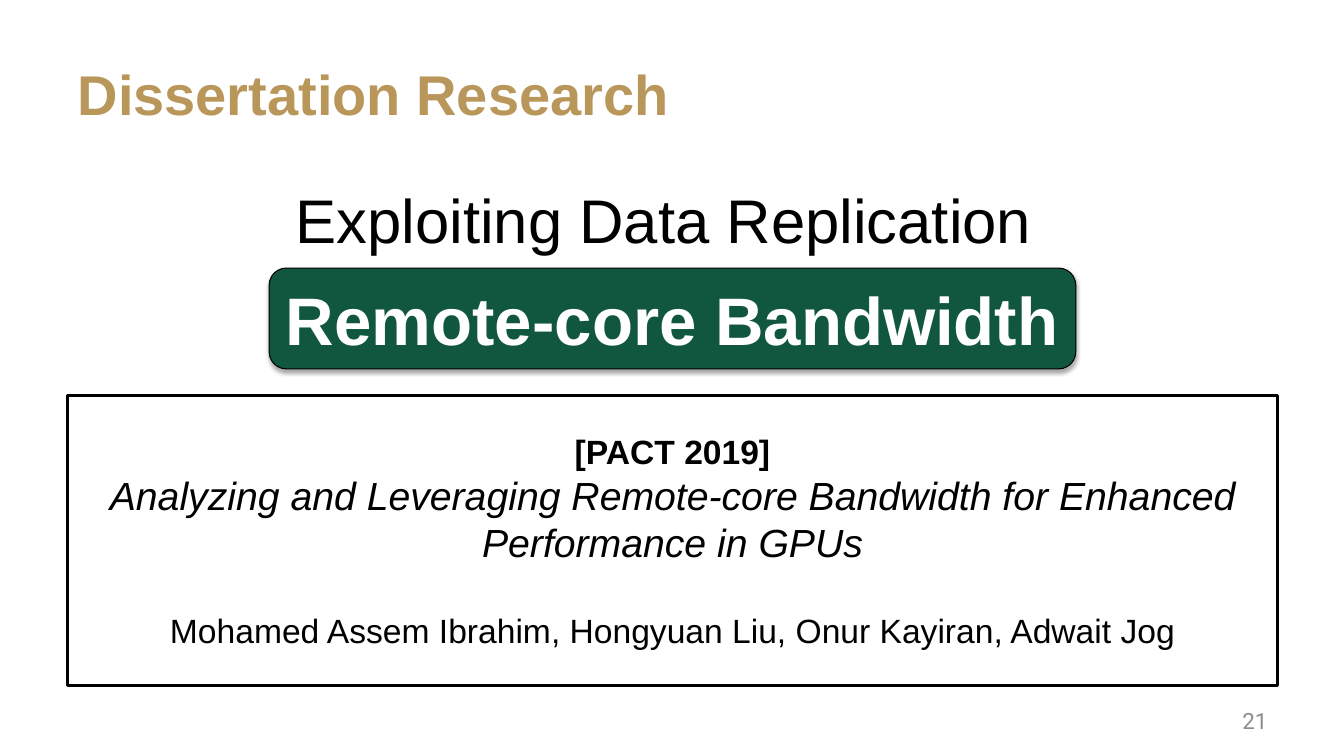
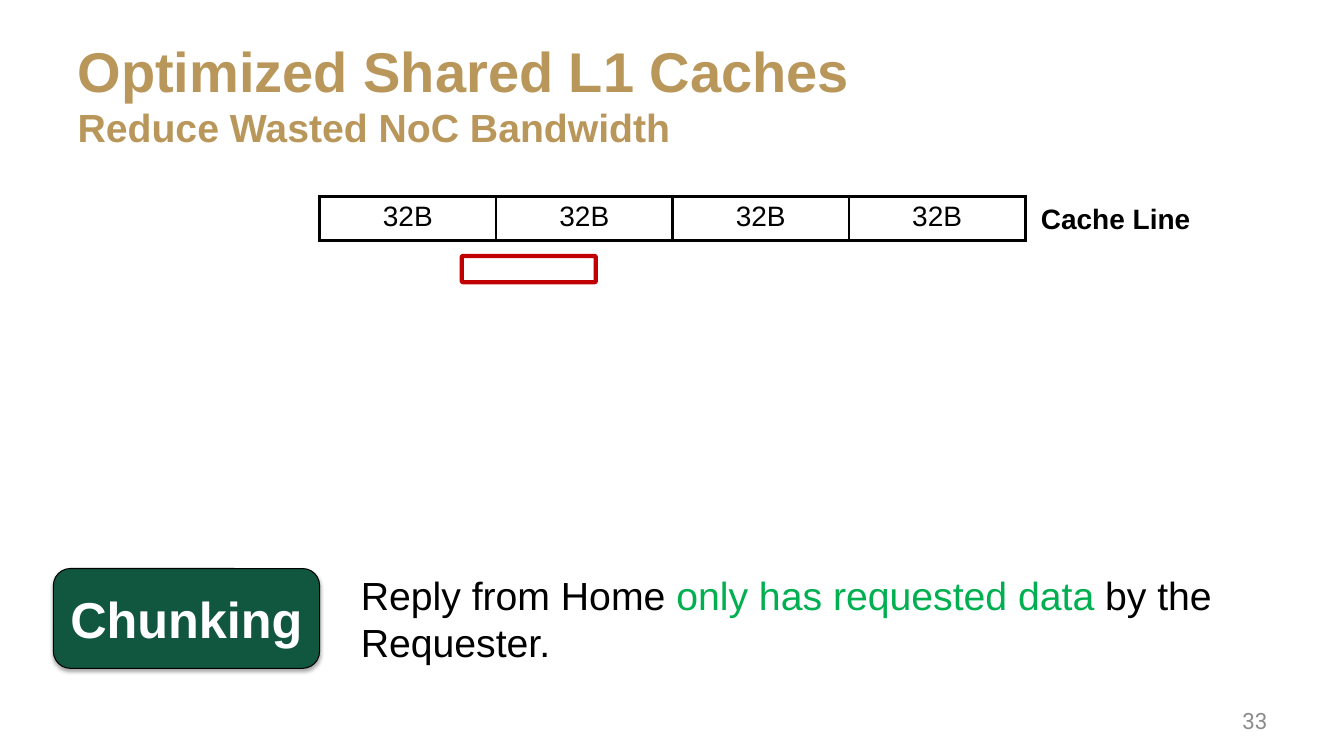
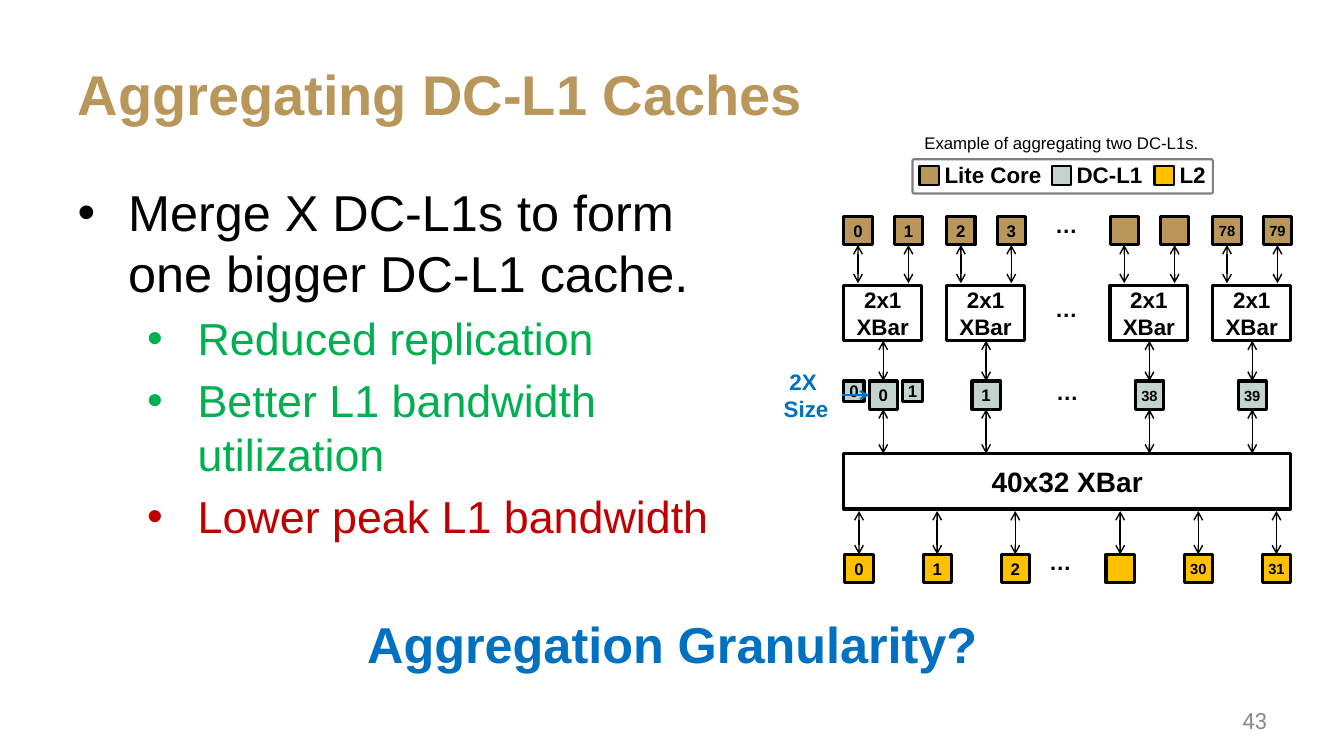
import lxml.etree
import pptx
import pptx.dml.color
import pptx.enum.shapes
import pptx.enum.text
import pptx.oxml.ns
import pptx.util

Inches = pptx.util.Inches
Pt = pptx.util.Pt
qn = pptx.oxml.ns.qn
SHAPE = pptx.enum.shapes.MSO_SHAPE
ALIGN = pptx.enum.text.PP_ALIGN
ANCHOR = pptx.enum.text.MSO_ANCHOR
GOLD, GREEN, AMBER, BLACK, WHITE = "B9975B", "115740", "FFC000", "000000", "FFFFFF"
BLUE, GOOD, BAD, GRAY = "0070C0", "00B050", "C00000", "8C8C8C"


def color(code):
    return pptx.dml.color.RGBColor.from_string(code)


def child(parent, tag, **attributes):
    return lxml.etree.SubElement(parent, qn(tag), {key: str(value) for key, value in attributes.items()})


def write(para, text, size=12, ink=BLACK, bold=False, italic=False, font="Arial"):
    span = para.add_run()
    span.text = text
    span.font.size = Pt(size)
    span.font.name = font
    span.font.bold = bold
    span.font.italic = italic
    span.font.color.rgb = color(ink)


def fade(shape, where, percent):
    for code in shape._element.xpath(f"./p:spPr/{where}a:solidFill/a:srgbClr"):
        child(code, "a:alpha", val=percent * 1000)


class Deck:
    """Holds the shared style and the slide being built."""

    def __init__(self):
        self.deck = pptx.Presentation()
        self.deck.slide_width = Inches(13.33)
        self.deck.slide_height = Inches(7.5)
        self.page = None

    def start(self, number, title, subtitle=None, body=False):
        self.page = self.deck.slides.add_slide(self.deck.slide_layouts[1 if body else 5])
        frame = self.place(self.page.shapes.title, 0.67, 0.3, 12, 1.25)
        frame.vertical_anchor = ANCHOR.MIDDLE
        para = frame.paragraphs[0]
        para.alignment = ALIGN.LEFT
        write(para, title, size=40, ink=GOLD, bold=True)
        if subtitle:
            para.add_line_break()
            write(para, subtitle, size=28, ink=GOLD, bold=True)
        self.label(9.56, 6.95, 3.11, 0.4, str(number), align=ALIGN.RIGHT, anchor=ANCHOR.MIDDLE,
                   size=16, ink=GRAY, font="Roboto")

    def place(self, holder, left, top, width, height):
        holder.left, holder.top = Inches(left), Inches(top)
        holder.width, holder.height = Inches(width), Inches(height)
        frame = holder.text_frame
        frame.auto_size = pptx.enum.text.MSO_AUTO_SIZE.NONE
        return frame

    def body(self, left, top, width, height):
        return self.place(self.page.placeholders[1], left, top, width, height)

    def bullets(self, frame, items):
        for index, (text, level, size, ink) in enumerate(items):
            para = frame.add_paragraph() if index else frame.paragraphs[0]
            para.level = level
            para.space_before = Pt(6 if index else 0)
            settings = para._p.get_or_add_pPr()
            settings.set("marL", str(Inches(1.19 if level else 0.5)))
            settings.set("indent", str(Inches(-0.5)))
            child(settings, "a:buFont", typeface="Arial")
            child(settings, "a:buChar", char="•")
            write(para, text, size=size, ink=ink)

    def label(self, left, top, width, height, text="", align=ALIGN.CENTER, anchor=ANCHOR.TOP,
              wrap=True, **style):
        box = self.page.shapes.add_textbox(Inches(left), Inches(top), Inches(width), Inches(height))
        frame = box.text_frame
        frame.word_wrap = wrap
        frame.vertical_anchor = anchor
        para = frame.paragraphs[0]
        para.alignment = align
        if text:
            write(para, text, **style)
        return frame

    def shape(self, left, top, width, height, text="", fill=None, line=BLACK, weight=2.25,
              corner=None, wrap=True, **style):
        kind = SHAPE.RECTANGLE if corner is None else SHAPE.ROUNDED_RECTANGLE
        box = self.page.shapes.add_shape(kind, Inches(left), Inches(top), Inches(width), Inches(height))
        box.shadow.inherit = False
        if corner is not None:
            box.adjustments[0] = corner
        if fill:
            box.fill.solid()
            box.fill.fore_color.rgb = color(fill)
        else:
            box.fill.background()
        box.line.color.rgb = color(line)
        box.line.width = Pt(weight)
        frame = box.text_frame
        frame.word_wrap = wrap
        frame.vertical_anchor = ANCHOR.MIDDLE
        frame.margin_left = frame.margin_right = frame.margin_top = frame.margin_bottom = 0
        frame.paragraphs[0].alignment = ALIGN.CENTER
        if text:
            write(frame.paragraphs[0], text, **style)
        return box

    def badge(self, left, top, width, height, text, size):
        box = self.shape(left, top, width, height, text, fill=GREEN, weight=0.75, corner=0.17,
                         size=size, ink=WHITE, bold=True)
        effects = box._element.spPr.find(qn("a:effectLst"))
        shadow = child(effects, "a:outerShdw", blurRad=Pt(3.1), dist=Pt(1.8), dir=5400000, rotWithShape=0)
        child(child(shadow, "a:srgbClr", val=BLACK), "a:alpha", val=35000)

    def chip(self, left, top, text="", fill=GOLD, side=0.28, weight=2.25):
        box = self.shape(left, top, side, side, text, fill=fill, weight=weight, wrap=False,
                         size=10.5 if len(text) > 1 else 12, bold=True)
        if fill == GREEN:
            fade(box, "", 25)

    def arrow(self, start, end, ink=BLACK, weight=1, both=True):
        line = self.page.shapes.add_connector(pptx.enum.shapes.MSO_CONNECTOR.STRAIGHT,
                                              *(Inches(value) for value in start + end))
        line.line.color.rgb = color(ink)
        line.line.width = Pt(weight)
        outline = line.line._get_or_add_ln()
        for tag in ("a:headEnd", "a:tailEnd") if both else ("a:tailEnd",):
            child(outline, tag, type="arrow")
        child(line._element.spPr, "a:effectLst")

    def table(self, left, top, widths, height, texts, size):
        frame = self.page.shapes.add_table(1, len(texts), Inches(left), Inches(top),
                                           Inches(sum(widths)), Inches(height))
        table = frame.table
        table.first_row = table.horz_banding = False
        table.rows[0].height = Inches(height)
        for column, width, cell, text in zip(table.columns, widths, table.rows[0].cells, texts):
            column.width = Inches(width)
            para = cell.text_frame.paragraphs[0]
            para.alignment = ALIGN.CENTER
            write(para, text, size=size)
            borders = cell._tc.get_or_add_tcPr()
            for side in ("a:lnL", "a:lnR", "a:lnT", "a:lnB"):
                border = child(borders, side, w=Pt(2.25))
                child(child(border, "a:solidFill"), "a:srgbClr", val=BLACK)
            cell.fill.background()


def research(deck):
    deck.start(21, "Dissertation Research", body=True)
    para = deck.body(0.67, 1.75, 12, 4.95).paragraphs[0]
    para.alignment = ALIGN.CENTER
    para.space_before = Pt(0)
    settings = para._p.get_or_add_pPr()
    settings.set("marL", "0")
    settings.set("indent", "0")
    child(settings, "a:buNone")
    write(para, "Exploiting Data Replication ", size=44)
    deck.badge(2.67, 2.66, 8, 1, "Remote-core Bandwidth", 48)
    paper = deck.shape(0.67, 3.92, 12, 2.88, "[PACT 2019]", fill=WHITE, corner=0, size=24, bold=True)
    frame = paper.text_frame
    frame.margin_left = frame.margin_right = Inches(0.1)
    para = frame.add_paragraph()
    para.alignment = ALIGN.CENTER
    write(para, "Analyzing and Leveraging Remote-core Bandwidth for Enhanced Performance in GPUs",
          size=28, italic=True)
    para = frame.add_paragraph()
    para.alignment = ALIGN.CENTER
    para.space_before = Pt(32)
    write(para, "Mohamed Assem Ibrahim, Hongyuan Liu, Onur Kayiran, Adwait Jog", size=24)


def chunking(deck):
    deck.start(33, "Optimized Shared L1 Caches", "Reduce Wasted NoC Bandwidth")
    deck.table(3.17, 1.95, [1.75] * 4, 0.42, ["32B"] * 4, 20)
    deck.label(10.17, 1.95, 1.79, 0.44, "Cache Line", size=20, bold=True)
    deck.shape(4.58, 2.54, 1.33, 0.26, line=BAD, weight=3, corner=0.05)
    deck.badge(0.53, 5.64, 2.64, 0.99, "Chunking", 36)
    para = deck.label(3.48, 5.51, 9.18, 1.25, align=ALIGN.LEFT, anchor=ANCHOR.MIDDLE).paragraphs[0]
    for text, ink in (("Reply from Home ", BLACK), ("only has requested data", GOOD),
                      (" by the Requester.", BLACK)):
        write(para, text, size=28, ink=ink)


def legend(deck):
    deck.label(7.93, 1.27, 5.2, 0.3, "Example of aggregating two DC-L1s.", size=12)
    frame = deck.shape(9.05, 1.58, 2.98, 0.34, weight=1.5, corner=0.05)
    fade(frame, "a:ln/", 50)
    for left, width, text, fill in ((9.12, 1.23, "Lite Core", GOLD), (10.43, 0.91, "DC-L1", GREEN),
                                    (11.45, 0.52, "L2", AMBER)):
        deck.chip(left, 1.65, fill=fill, side=0.19, weight=1.5)
        deck.label(left + 0.15, 1.55, width, 0.37, text, align=ALIGN.LEFT, size=16, bold=True)


def diagram(deck):
    clusters = ((8.37, "0", "1", "0"), (9.39, "2", "3", "1"), (11.01, "", "", "38"),
                (12.03, "78", "79", "39"))
    for left, first, second, cache in clusters:
        for core, text in ((left, first), (left + 0.5, second)):
            deck.chip(core, 2.15, text)
            deck.arrow((core + 0.14, 2.43), (core + 0.14, 2.81))
        deck.shape(left, 2.83, 0.77, 0.55, "2x1 XBar", size=16, bold=True)
        deck.chip(left + 0.25, 3.78, cache, GREEN)
        middle = left + 0.39
        deck.arrow((middle, 3.78), (middle, 3.38))
        deck.arrow((middle, 4.5), (middle, 4.06))
    deck.shape(8.37, 4.5, 4.43, 0.55, "40x32 XBar", size=20, bold=True)
    for start, texts in ((8.38, ("0", "1", "2")), (10.97, ("", "30", "31"))):
        for index, text in enumerate(texts):
            left = start + 0.775 * index
            deck.chip(left, 5.5, text, AMBER)
            deck.arrow((left + 0.14, 5.5), (left + 0.14, 5.07))
    for left, top in ((10.3, 1.95), (10.3, 2.79), (10.31, 3.61), (10.24, 5.3)):
        deck.label(left, top, 0.55, 0.55, "…", anchor=ANCHOR.MIDDLE, size=16, bold=True)
    for left, text in ((8.37, "0"), (8.95, "1")):
        deck.chip(left, 3.78, text, GREEN, side=0.2)
    size_note = deck.label(7.64, 3.6, 0.71, 0.64, "2X ", size=16, ink=BLUE, bold=True)
    para = size_note.add_paragraph()
    para.alignment = ALIGN.CENTER
    write(para, "Size", size=16, ink=BLUE, bold=True)
    deck.arrow((8.35, 3.92), (8.62, 3.92), ink=BLUE, weight=1.5, both=False)


def aggregating(deck):
    deck.start(43, "Aggregating DC-L1 Caches", body=True)
    deck.bullets(deck.body(0.67, 1.75, 6.73, 4.03), (
        ("Merge X DC-L1s to form one bigger DC-L1 cache.", 0, 36, BLACK),
        ("Reduced replication", 1, 32, GOOD),
        ("Better L1 bandwidth utilization", 1, 32, GOOD),
        ("Lower peak L1 bandwidth", 1, 32, BAD)))
    legend(deck)
    diagram(deck)
    deck.label(3.44, 6.03, 6.46, 0.71, "Aggregation Granularity?", wrap=False,
               size=36, ink=BLUE, bold=True)


def main():
    deck = Deck()
    research(deck)
    chunking(deck)
    aggregating(deck)
    deck.deck.save("out.pptx")


if __name__ == "__main__":
    main()
